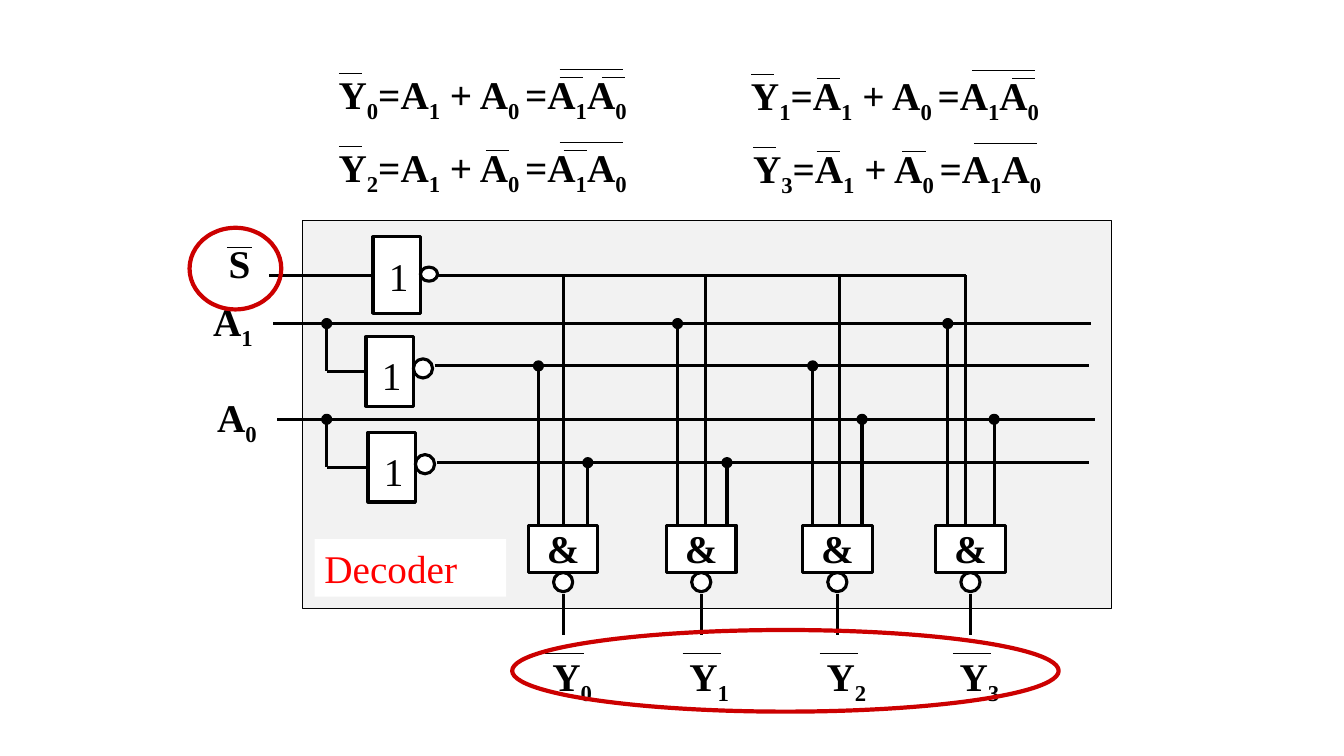
import pptx
import pptx.util
import pptx.dml.color
import pptx.enum.shapes
import pptx.enum.text
import pptx.oxml.ns
import lxml.etree

RGBColor = pptx.dml.color.RGBColor
Shape = pptx.enum.shapes.MSO_SHAPE
Anchor = pptx.enum.text.MSO_ANCHOR
Align = pptx.enum.text.PP_ALIGN

BLACK = RGBColor(0x00, 0x00, 0x00)
WHITE = RGBColor(0xFF, 0xFF, 0xFF)
CHIP_GREY = RGBColor(0xF2, 0xF2, 0xF2)
RING_RED = RGBColor(0xCC, 0x00, 0x00)
NAME_RED = RGBColor(0xFF, 0x00, 0x00)

COLUMNS, ROWS = 133.3, 75
CELL = pptx.util.Inches(0.1)
LEFT_SIDE, TOP_SIDE = 1, 0

# Rows of the horizontal wires
ENABLE, A1, NOT_A1, A0, NOT_A0 = 27.3, 32.1, 36.3, 41.6, 45.9
GATE_TOP = 52.1
LABEL_HEIGHT = 5.7


def cells(*counts):
    return [round(n * CELL) for n in counts]


def write(tf, text, size=28, font="Times New Roman", color=BLACK, bold=True,
          align=Align.LEFT):
    """Fill a text frame; every second part between bars is a subscript."""
    p = tf.paragraphs[0]
    p.alignment = align
    for i, part in enumerate(text.split("|")):
        r = p.add_run()
        r.text = part
        r.font.name = font
        r.font.size = pptx.util.Pt(size)
        r.font.bold = bold
        r.font.color.rgb = color
        if i % 2:
            r._r.get_or_add_rPr().set("baseline", "-25000")


class Diagram:
    """Draws on one slide, measured in grid columns and rows."""

    def __init__(self, slide, thick=2.25, thin=0.75):
        self.shapes = slide.shapes
        self.thick = thick
        self.thin = thin

    def shape(self, kind, x, y, w, h, fill=WHITE, line=BLACK, width=None):
        sp = self.shapes.add_shape(kind, *cells(x, y, w, h))
        sp.shadow.inherit = False
        if fill is None:
            sp.fill.background()
        else:
            sp.fill.solid()
            sp.fill.fore_color.rgb = fill
        sp.line.color.rgb = line
        sp.line.width = pptx.util.Pt(width or self.thick)
        return sp

    def wire(self, x1, y1, x2, y2, width=None, end=None):
        """Draw a line; end is a (shape, side) pair to join it to."""
        cxn = self.shapes.add_connector(
            pptx.enum.shapes.MSO_CONNECTOR.STRAIGHT, *cells(x1, y1, x2, y2))
        cxn.line.color.rgb = BLACK
        cxn.line.width = pptx.util.Pt(width or self.thick)
        lxml.etree.SubElement(cxn._element.spPr, pptx.oxml.ns.qn("a:effectLst"))
        if end:
            cxn.end_connect(*end)

    def bar(self, x, y, length):
        self.wire(x, y, x + length, y, self.thin)

    def label(self, text, x, y, w, fill=None, centred=False, **style):
        sp = self.shapes.add_textbox(*cells(x, y, w, LABEL_HEIGHT))
        tf = sp.text_frame
        tf.word_wrap = not centred
        if fill is not None:
            sp.fill.solid()
            sp.fill.fore_color.rgb = fill
        if centred:
            tf.vertical_anchor = Anchor.MIDDLE
            style["align"] = Align.CENTER
        write(tf, text, **style)

    def dot(self, x, y):
        self.shape(Shape.OVAL, x - 0.4, y - 0.4, 0.8, 0.8, fill=BLACK)

    def formula(self, text, x, y, negated):
        """Write an equation with bars over the output, terms and product."""
        self.label(text, x, y, 32.5)
        self.bar(x + 1, y + 0.8, 2.3)
        for offset in negated:
            self.bar(x + offset, y + 1.2, 2.3)
        self.bar(x + 22.9, y + 0.4, 6.3)

    def inverter(self, x, y, h, bubble_y, bubble_w, bubble_h):
        box = self.shape(Shape.RECTANGLE, x, y, 4.7, h)
        self.shape(Shape.OVAL, x + 4.7, bubble_y, bubble_w, bubble_h)
        self.label("1", x + 0.6, y + 1, 4, bold=False)
        return box

    def input_branch(self, name, row, inverted_row, start, box_x, box_y):
        """Draw an address line, its inverter and the inverted line."""
        tap, middle = 32.4, box_y + 3.45
        self.wire(start, row, start + 81.1, row)
        self.label(name, start - 7.1, row - 2.8, 6.2, centred=True)
        box = self.inverter(box_x, box_y, 6.9, box_y + 2.2, 1.9, 1.9)
        self.wire(tap, row, tap, middle)
        self.wire(tap, middle, box_x, middle, end=(box, LEFT_SIDE))
        self.wire(box_x + 6.8, inverted_row, 108, inverted_row)
        self.dot(tap, row)

    def nand(self, x, enable_x, inputs, output, output_x):
        """Draw a gate, its input wires, output wire and output label."""
        middle = x + 3.45
        box = self.shape(Shape.RECTANGLE, x, GATE_TOP, 6.9, 4.7)
        self.shape(Shape.OVAL, x + 2.5, 56.8, 1.9, 1.9)
        self.label("&", x + 0.8, 51.5, 5.3, centred=True)
        for wire_x, row in inputs:
            self.wire(wire_x, row, wire_x, GATE_TOP)
            self.dot(wire_x, row)
        joined = abs(enable_x - middle) < 0.1
        self.wire(enable_x, ENABLE, enable_x, GATE_TOP,
                  end=(box, TOP_SIDE) if joined else None)
        self.wire(middle, 58.9, middle, 63)
        self.label(output, output_x, 64.2, 7.3)
        self.bar(output_x + 0.3, 64.8, 3.8)


def main():
    prs = pptx.Presentation()
    prs.slide_width, prs.slide_height = cells(COLUMNS, ROWS)
    d = Diagram(prs.slides.add_slide(prs.slide_layouts[6]))

    d.shape(Shape.RECTANGLE, 30, 21.9, 80.2, 38.5, fill=CHIP_GREY, width=d.thin)

    for index, x, y, negated in (
            (0, 32.6, 6.5, (22.9, 27.1)),
            (1, 73.5, 6.6, (7.5, 26.9)),
            (2, 32.6, 13.7, (15.6, 23.3)),
            (3, 73.7, 13.8, (7.3, 15.8))):
        d.formula(f"Y|{index}|=A|1| + A|0 |=A|1|A|0", x, y, negated)

    d.input_branch("A|1", A1, NOT_A1, 27.1, 36.3, 33.4)
    d.input_branch("A|0", A0, NOT_A0, 27.5, 36.5, 42.9)

    enable_inverter = d.inverter(37, 23.5, 7.6, 26.5, 1.7, 1.4)
    d.wire(26.7, ENABLE, 37, ENABLE, end=(enable_inverter, LEFT_SIDE))
    d.wire(43.4, ENABLE, 95.8, ENABLE)

    gates = (
        (52.4, 55.85, ((53.4, NOT_A1), (58.3, NOT_A0)), 53.8),
        (66.1, 70, ((67.2, A1), (72.1, NOT_A0)), 67.4),
        (79.6, 83.3, ((80.6, NOT_A1), (85.5, A0)), 81),
        (92.8, 95.8, ((94, A1), (98.6, A0)), 94.2))
    for index, (x, enable_x, inputs, output_x) in enumerate(gates):
        d.nand(x, enable_x, inputs, f"Y|{index}", output_x)

    d.label("Decoder", 31.2, 53.5, 19, fill=WHITE, color=NAME_RED, bold=False)
    d.label("S", 21.7, 23.3, 6.7)
    d.bar(22.5, 24.6, 2.5)
    for ring in ((18.8, 22.6, 9.1, 8.1), (50.8, 62.5, 54.2, 8.1)):
        d.shape(Shape.OVAL, *ring, fill=None, line=RING_RED, width=3)

    prs.save("out.pptx")


if __name__ == "__main__":
    main()
